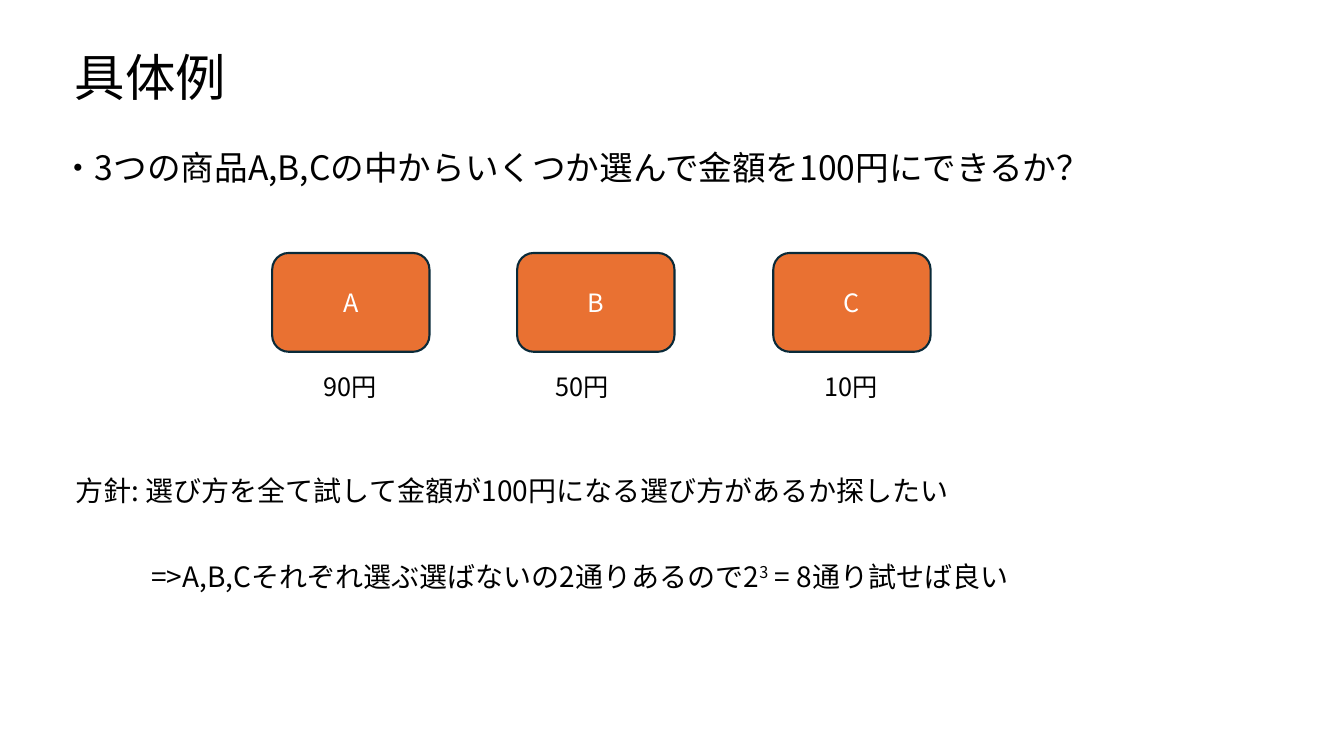
from lxml.etree import SubElement
from pptx import Presentation
from pptx.dml.color import RGBColor
from pptx.enum.shapes import MSO_SHAPE as Shape
from pptx.enum.text import MSO_ANCHOR as Anchor, MSO_AUTO_SIZE as AutoSize, PP_ALIGN as Align
from pptx.oxml.ns import qn
from pptx.util import Inches, Pt

BLACK = RGBColor(0x00, 0x00, 0x00)
WHITE = RGBColor(0xFF, 0xFF, 0xFF)
ORANGE = RGBColor(0xE9, 0x71, 0x32)
NAVY = RGBColor(0x09, 0x2A, 0x39)


class ExamplePage:
    font_name = "Noto Sans CJK JP"

    def __init__(self, deck):
        self.page = deck.slides.add_slide(deck.slide_layouts[5])

    def span(self, para, text, size, color=BLACK, raised=False):
        span = para.add_run()
        span.text = text
        span.font.size = Pt(size)
        span.font.color.rgb = color
        span.font.name = self.font_name
        properties = span._r.get_or_add_rPr()
        SubElement(properties, qn("a:ea"), typeface=self.font_name)
        if raised:
            properties.set("baseline", "30000")

    def title(self, text):
        box = self.page.shapes.title
        box.left, box.top = Inches(0.64), Inches(0.1)
        box.width, box.height = Inches(11.5), Inches(1.4)
        box.text_frame.vertical_anchor = Anchor.MIDDLE
        para = box.text_frame.paragraphs[0]
        para.alignment = Align.LEFT
        para.line_spacing = 0.9
        self.span(para, text, 36)

    def text(self, left, top, width, height, size, *parts):
        box = self.page.shapes.add_textbox(
            Inches(left), Inches(top), Inches(width), Inches(height))
        box.text_frame.word_wrap = True
        box.text_frame.auto_size = AutoSize.SHAPE_TO_FIT_TEXT
        for text, raised in parts:
            self.span(box.text_frame.paragraphs[0], text, size, raised=raised)

    def card(self, left, label):
        card = self.page.shapes.add_shape(
            Shape.ROUNDED_RECTANGLE, Inches(left), Inches(2.51), Inches(1.56), Inches(0.98))
        card.shadow.inherit = False
        card.fill.solid()
        card.fill.fore_color.rgb = ORANGE
        card.line.color.rgb = NAVY
        card.line.width = Pt(1.5)
        card.text_frame.vertical_anchor = Anchor.MIDDLE
        para = card.text_frame.paragraphs[0]
        para.alignment = Align.CENTER
        self.span(para, label, 18, WHITE)


def main():
    deck = Presentation()
    deck.slide_width, deck.slide_height = Inches(13.33), Inches(7.5)
    example = ExamplePage(deck)
    example.title("具体例")
    example.text(0.51, 1.41, 10.89, 0.5, 24,
                 ("・3つの商品A,B,Cの中からいくつか選んで金額を100円にできるか？", False))
    products = [("A", 2.7, "90円", 3.11), ("B", 5.13, "50円", 5.41), ("C", 7.67, "10円", 8.08)]
    for label, card_left, price, price_left in products:
        example.card(card_left, label)
        example.text(price_left, 3.63, 0.73, 0.4, 18, (price, False))
    example.text(0.65, 4.65, 8.96, 0.44, 20,
                 ("方針: 選び方を全て試して金額が100円になる選び方があるか探したい", False))
    example.text(1.4, 5.5, 9.01, 0.44, 20,
                 ("=>A,B,Cそれぞれ選ぶ選ばないの2通りあるので2", False),
                 ("3", True),
                 (" = 8通り試せば良い", False))
    deck.save("out.pptx")


if __name__ == "__main__":
    main()
